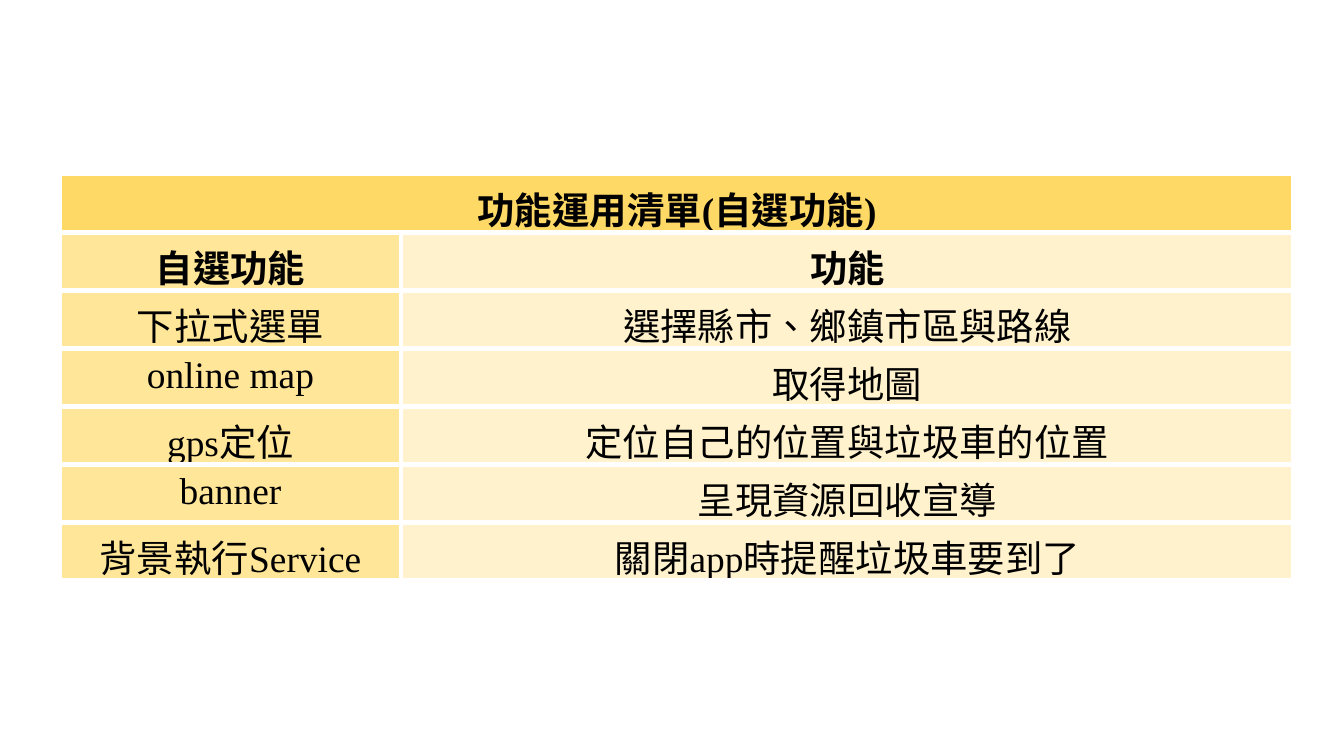
from dataclasses import dataclass

from pptx import Presentation
from pptx.dml.color import RGBColor as Rgb
from pptx.enum.lang import MSO_LANGUAGE_ID as Language
from pptx.enum.text import PP_ALIGN as Align
from pptx.oxml import parse_xml
from pptx.oxml.ns import nsdecls
from pptx.util import Emu, Pt

EMU_PER_PX = 914400 / 134.4


def px(length):
    return Emu(round(length * EMU_PER_PX))


@dataclass(frozen=True)
class Theme:
    font: str = "Times New Roman"
    size: int = 20
    text: str = "000000"
    title_fill: str = "FFD966"
    name_fill: str = "FFE699"
    purpose_fill: str = "FFF2CC"
    border: str = "FFFFFF"
    border_width: int = 3
    bottom_margin: int = -3


class SlideBuilder:
    def __init__(self, slide, theme):
        self.slide = slide
        self.theme = theme

    def table(self, left, top, widths, height, title, rows):
        frame = self.slide.shapes.add_table(
            len(rows) + 1, len(widths),
            px(left), px(top), px(sum(widths)), px(height))
        table = frame.table
        table.first_row = table.horz_banding = False
        for column, width in zip(table.columns, widths):
            column.width = px(width)
        table.cell(0, 0).merge(table.cell(0, len(widths) - 1))
        for cell in table.rows[0].cells:
            self.cell(cell, "" if cell.is_spanned else title,
                      self.theme.title_fill, True)
        fills = self.theme.name_fill, self.theme.purpose_fill
        for index, entries in enumerate(rows, start=1):
            for cell, entry, fill in zip(table.rows[index].cells, entries, fills):
                self.cell(cell, entry, fill, index == 1)

    def cell(self, cell, text, fill, bold):
        self.borders(cell)
        cell.margin_bottom = px(self.theme.bottom_margin)
        cell.fill.solid()
        cell.fill.fore_color.rgb = Rgb.from_string(fill)
        paragraph = cell.text_frame.paragraphs[0]
        paragraph.text = text
        paragraph.alignment = Align.CENTER
        for run in paragraph.runs:
            run.font.name = self.theme.font
            run.font.size = Pt(self.theme.size)
            run.font.bold = bold
            run.font.language_id = Language.TRADITIONAL_CHINESE
            run.font.color.rgb = Rgb.from_string(self.theme.text)

    def borders(self, cell):
        properties = cell._tc.get_or_add_tcPr()
        for side in "LRTB":
            properties.append(parse_xml(
                f'<a:ln{side} {nsdecls("a")} w="{Pt(self.theme.border_width)}">'
                f'<a:solidFill><a:srgbClr val="{self.theme.border}"/></a:solidFill>'
                f'</a:ln{side}>'))


FEATURES = [
    ("自選功能", "功能"),
    ("下拉式選單", "選擇縣市、鄉鎮市區與路線"),
    ("online map", "取得地圖"),
    ("gps定位", "定位自己的位置與垃圾車的位置"),
    ("banner", "呈現資源回收宣導"),
    ("背景執行Service", "關閉app時提醒垃圾車要到了"),
]


def main():
    deck = Presentation()
    deck.slide_width, deck.slide_height = px(1344), px(756)
    slide = deck.slides.add_slide(deck.slide_layouts[6])
    builder = SlideBuilder(slide, Theme())
    builder.table(60, 174, (341, 893), 407, "功能運用清單(自選功能)", FEATURES)
    deck.save("out.pptx")


if __name__ == "__main__":
    main()
